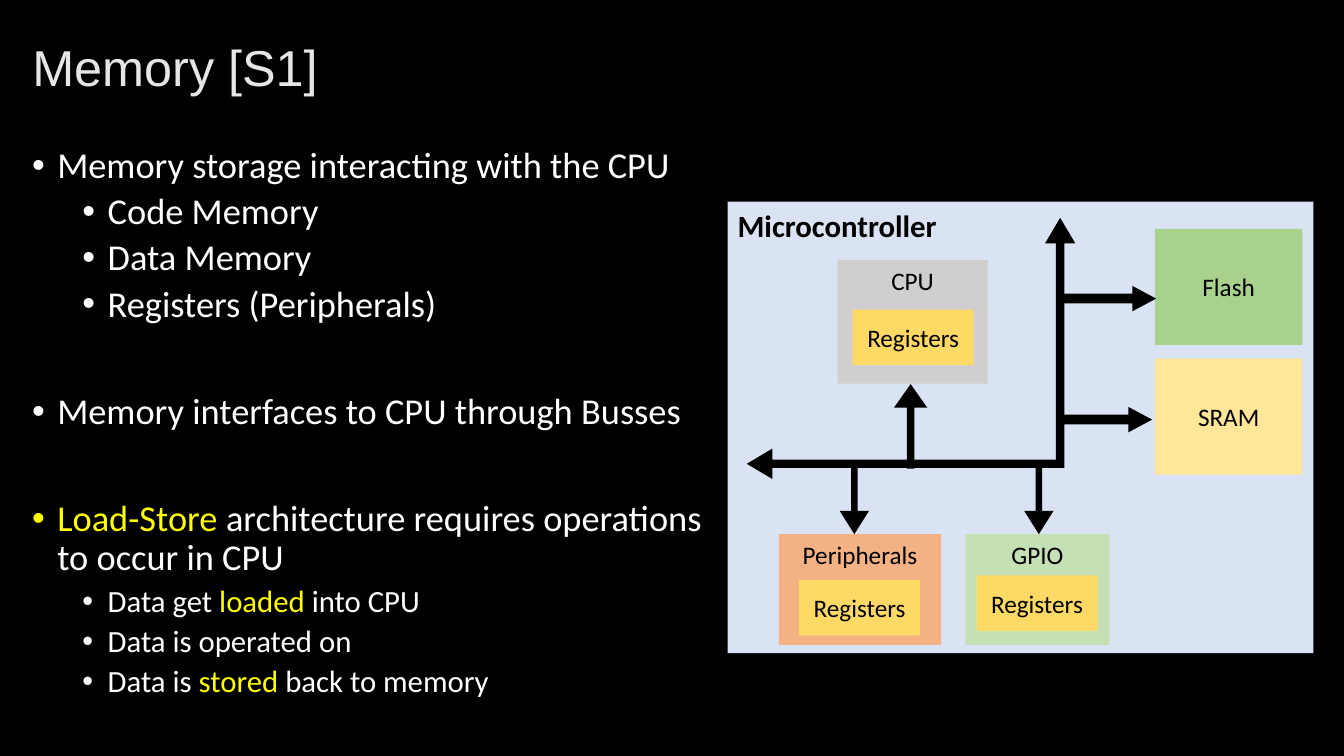
from lxml.etree import SubElement
from pptx import Presentation
from pptx.dml.color import RGBColor
from pptx.enum.shapes import MSO_SHAPE
from pptx.enum.text import MSO_ANCHOR, PP_ALIGN
from pptx.oxml.ns import qn
from pptx.util import Cm, Pt

BLACK, WHITE, YELLOW = "000000", "FFFFFF", "FFFF00"


def colour(value):
    return RGBColor.from_string(value)


class SlideBuilder:
    title_font = "Arial"
    body_font = "Calibri"

    def __init__(self, slide, background):
        self.slide = slide
        slide.background.fill.solid()
        slide.background.fill.fore_color.rgb = colour(background)

    def run(self, paragraph, text, size, shade, font=None, bold=False):
        run = paragraph.add_run()
        run.text = text
        run.font.size = Pt(size)
        run.font.name = font or self.body_font
        run.font.bold = bold
        run.font.color.rgb = colour(shade)

    def title(self, text, box):
        title = self.slide.shapes.title
        title.left, title.top, title.width, title.height = map(Cm, box)
        frame = title.text_frame
        frame.word_wrap = True
        frame.vertical_anchor = MSO_ANCHOR.MIDDLE
        heading = frame.paragraphs[0]
        heading.alignment = PP_ALIGN.LEFT
        heading.line_spacing = 0.9
        self.run(heading, text, 36, "E7E6E6", self.title_font)

    def shape(self, preset, box, fill, adjustments=(), rotation=0):
        shape = self.slide.shapes.add_shape(preset, *map(Cm, box))
        shape.shadow.inherit = False
        shape.fill.solid()
        shape.fill.fore_color.rgb = colour(fill)
        shape.line.fill.background()
        shape.rotation = rotation
        for index, value in enumerate(adjustments):
            shape.adjustments[index] = value
        return shape

    def block(self, text, box, fill, anchor=MSO_ANCHOR.MIDDLE,
              align=PP_ALIGN.CENTER, size=18, bold=False):
        frame = self.shape(MSO_SHAPE.RECTANGLE, box, fill).text_frame
        frame.word_wrap = True
        frame.vertical_anchor = anchor
        label = frame.paragraphs[0]
        label.alignment = align
        self.run(label, text, size, BLACK, bold=bold)

    def arrow(self, box, adjustments, rotation=0):
        self.shape(MSO_SHAPE.UP_ARROW, box, BLACK, adjustments, rotation)

    def bullets(self, items, box):
        frame = self.slide.shapes.add_textbox(*map(Cm, box)).text_frame
        frame.word_wrap = True
        for index, (level, size, before, parts) in enumerate(items):
            item = frame.add_paragraph() if index else frame.paragraphs[0]
            item.level = level
            item.line_spacing = 0.9
            item.space_before = Pt(before)
            properties = item._p.get_or_add_pPr()
            properties.set("marL", str(Cm(0.635 + 1.27 * level)))
            properties.set("indent", str(-Cm(0.635)))
            SubElement(properties, qn("a:buFont"), typeface="Arial")
            SubElement(properties, qn("a:buChar"), char="•")
            for text, shade in parts:
                self.run(item, text, size, shade)


def main():
    deck = Presentation()
    deck.slide_width, deck.slide_height = Cm(33.87), Cm(19.05)
    page = SlideBuilder(deck.slides.add_slide(deck.slide_layouts[5]), BLACK)
    page.title("Memory [S1]", (0.56, 0.53, 32.74, 2.46))

    page.block("Microcontroller", (18.34, 5.08, 14.76, 11.38), "DAE3F3",
               MSO_ANCHOR.TOP, PP_ALIGN.LEFT, 22, True)
    for name, box, fill in (
        ("GPIO", (24.33, 13.46, 3.63, 2.79), "C5E0B4"),
        ("CPU", (21.11, 6.55, 3.78, 3.12), "D0CECE"),
        ("Peripherals", (19.63, 13.46, 4.09, 2.79), "F4B183"),
    ):
        page.block(name, box, fill, MSO_ANCHOR.TOP)
    for name, top, fill in (("Flash", 5.77, "A9D18E"), ("SRAM", 9.04, "FFE699")):
        page.block(name, (29.11, top, 3.71, 2.92), fill)

    page.shape(MSO_SHAPE.LEFT_UP_ARROW, (18.82, 5.49, 8.28, 6.58), BLACK,
               (0.032, 0.058, 0.098))
    page.arrow((22.53, 9.68, 0.84, 2.13), (0.222, 0.708))
    for left in (21.16, 25.81):
        page.arrow((left, 11.76, 0.74, 1.7), (0.222, 0.795), 180)
    for left, top in ((27.61, 6.32), (27.51, 9.37)):
        page.arrow((left, top, 0.64, 2.41), (0.382, 0.936), 90)

    page.bullets((
        (0, 26, 10, [("Memory storage interacting with the CPU", WHITE)]),
        (1, 26, 5, [("Code Memory", WHITE)]),
        (1, 26, 5, [("Data Memory", WHITE)]),
        (1, 26, 5, [("Registers (Peripherals)", WHITE)]),
        (0, 26, 48.5, [("Memory interfaces to CPU through Busses", WHITE)]),
        (0, 26, 48.5, [("Load-Store", YELLOW),
                       (" architecture requires operations to occur in CPU", WHITE)]),
        (1, 22, 5, [("Data get ", WHITE), ("loaded", YELLOW), (" into CPU", WHITE)]),
        (1, 22, 5, [("Data is operated on", WHITE)]),
        (1, 22, 5, [("Data is ", WHITE), ("stored", YELLOW),
                    (" back to memory", WHITE)]),
    ), (0.56, 3.58, 17.63, 14.38))

    for left, top in ((24.61, 14.5), (21.49, 7.8), (20.14, 14.61)):
        page.block("Registers", (left, top, 3.05, 1.4), "FFD966")

    deck.save("out.pptx")


if __name__ == "__main__":
    main()
